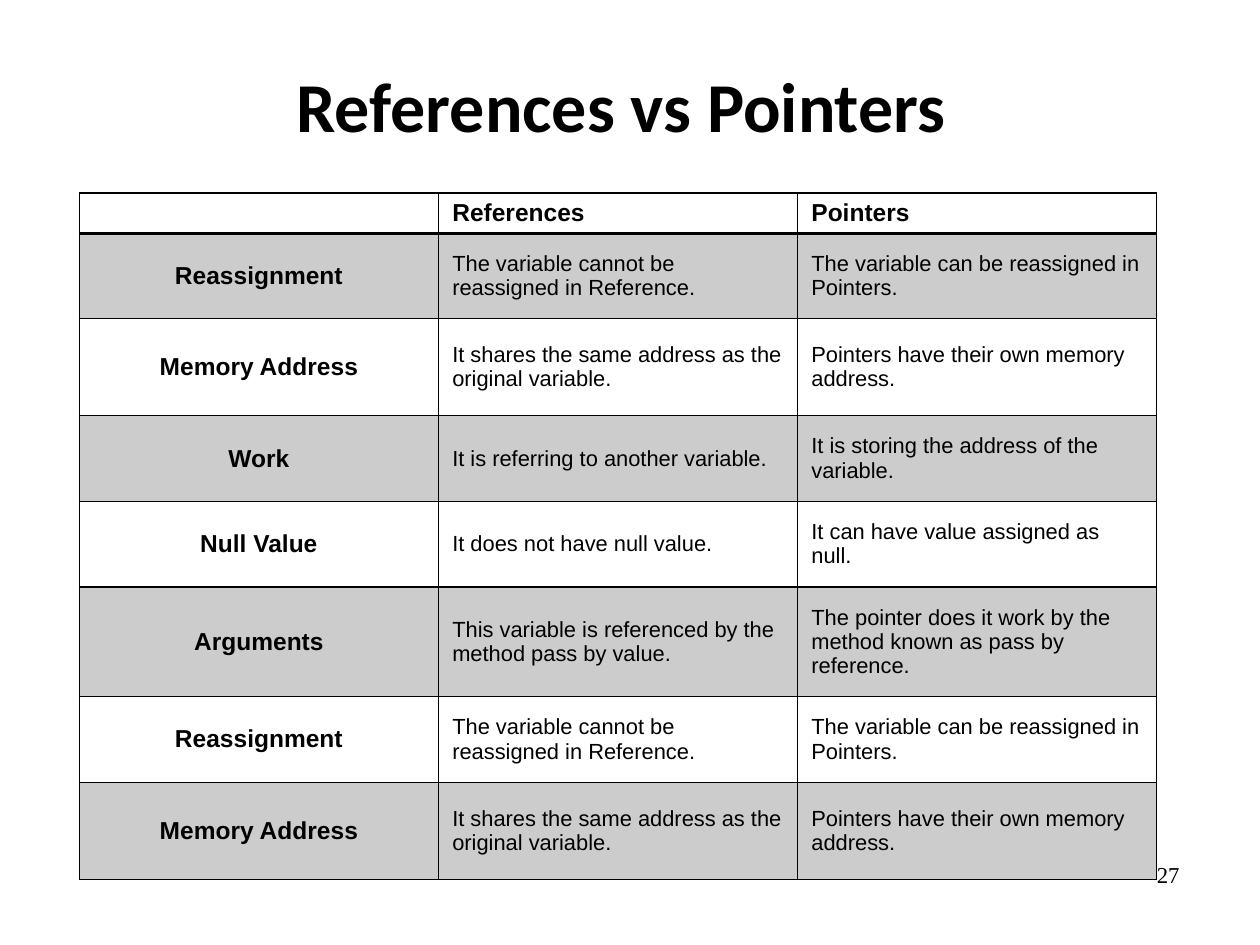
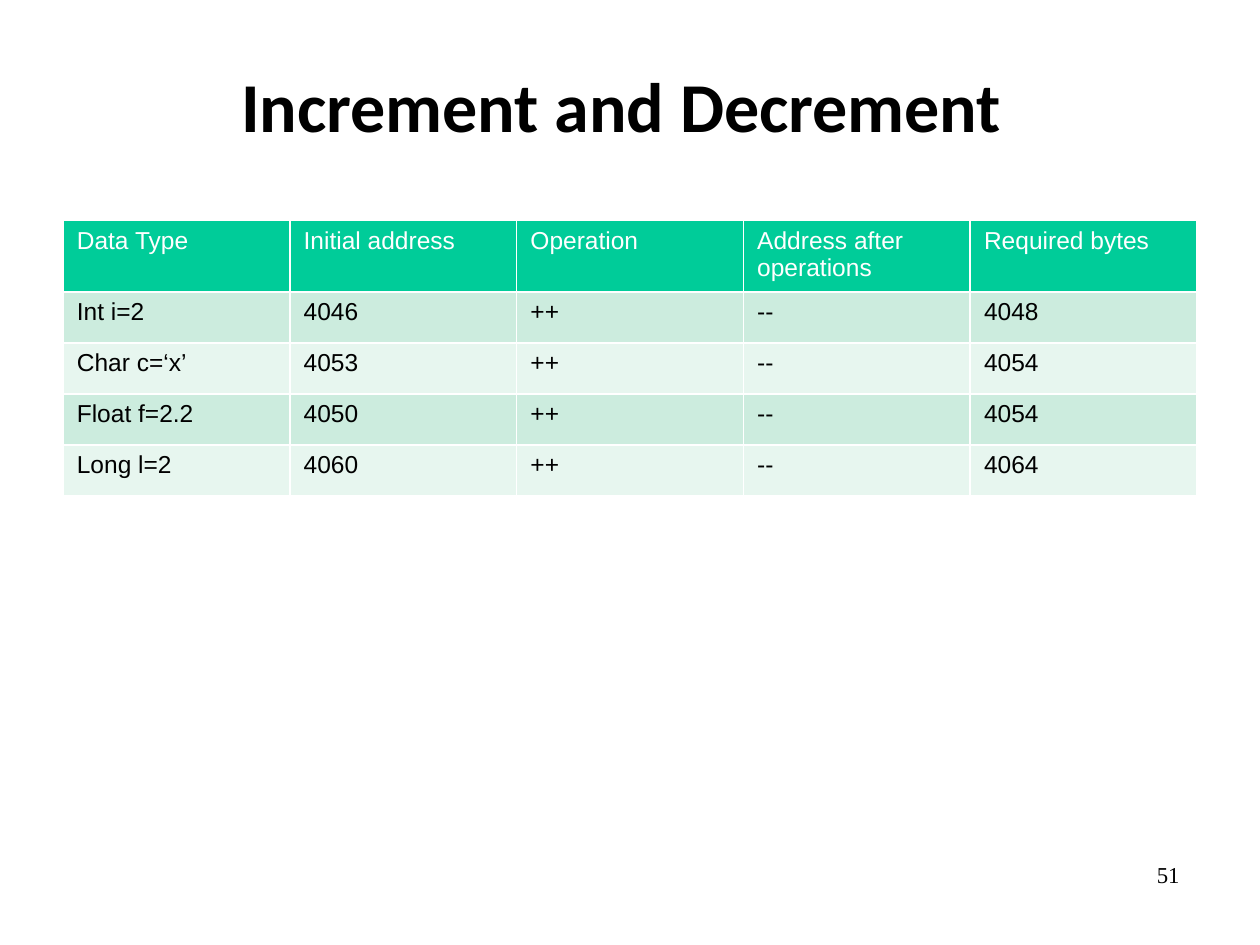
from dataclasses import dataclass

from lxml import etree
from pptx import Presentation
from pptx.dml.color import RGBColor
from pptx.enum.text import MSO_ANCHOR, PP_ALIGN
from pptx.oxml.ns import qn
from pptx.util import Inches, Pt

TOP, MIDDLE = MSO_ANCHOR.TOP, MSO_ANCHOR.MIDDLE
LEFT, CENTER, RIGHT = PP_ALIGN.LEFT, PP_ALIGN.CENTER, PP_ALIGN.RIGHT


@dataclass(frozen=True)
class Theme:
    title_font: str = "Calibri"
    table_font: str = "Arial"
    number_font: str = "Times New Roman"
    title_size: float = 40
    label_size: float = 14
    detail_size: float = 12.5
    number_size: float = 13
    black: str = "000000"
    white: str = "FFFFFF"
    gray_band: str = "CCCCCC"
    green_header: str = "00CC99"
    green_band: str = "CCECDE"
    pale_band: str = "E7F6EF"


theme = Theme()


def format_text(text_frame, font, size, color, bold=False, align=LEFT, spacing=1.0):
    for paragraph in text_frame.paragraphs:
        paragraph.alignment = align
        paragraph.line_spacing = spacing
        for run in paragraph.runs:
            run.font.name = font
            run.font.size = Pt(size)
            run.font.bold = bold
            run.font.color.rgb = RGBColor.from_string(color)


def set_borders(cell, color, top, bottom):
    """Draw all four sides; top and bottom are widths in points."""
    properties = cell._tc.get_or_add_tcPr()
    for side, width in (("L", 1), ("R", 1), ("T", top), ("B", bottom)):
        line = etree.SubElement(properties, qn(f"a:ln{side}"), w=str(Pt(width)))
        fill = etree.SubElement(line, qn("a:solidFill"))
        etree.SubElement(fill, qn("a:srgbClr"), val=color)


comparison = {
    "title": "References vs Pointers",
    "number": "27",
    "left": 0.63, "top": 1.53, "column_width": 2.85,
    "row_heights": [0.32, 0.68, 0.77, 0.68, 0.68, 0.87, 0.68, 0.77],
    "border": theme.black, "header_border": 2,
    "header_fill": None, "header_color": theme.black, "header_bold": True,
    "bands": [theme.gray_band, None],
    "row_labels": True,
    "body_size": theme.detail_size,
    "header_anchor": MIDDLE, "body_anchor": MIDDLE,
    "header_margin": 0, "body_margin": 0.1,
    "rows": [
        ["", "References", "Pointers"],
        ["Reassignment", "The variable cannot be reassigned in Reference.",
         "The variable can be reassigned in Pointers."],
        ["Memory Address", "It shares the same address as the original variable.",
         "Pointers have their own memory address."],
        ["Work", "It is referring to another variable.",
         "It is storing the address of the variable."],
        ["Null Value", "It does not have null value.",
         "It can have value assigned as null."],
        ["Arguments", "This variable is referenced by the method pass by value.",
         "The pointer does it work by the method known as pass by reference."],
        ["Reassignment", "The variable cannot be reassigned in Reference.",
         "The variable can be reassigned in Pointers."],
        ["Memory Address", "It shares the same address as the original variable.",
         "Pointers have their own memory address."],
    ],
}

increments = {
    "title": "Increment and Decrement",
    "number": "51",
    "left": 0.5, "top": 1.75, "column_width": 1.8,
    "row_heights": [0.53] + [1.62 / 4] * 4,
    "border": theme.white, "header_border": 1,
    "header_fill": theme.green_header, "header_color": theme.white, "header_bold": False,
    "bands": [theme.green_band, theme.pale_band],
    "row_labels": False,
    "body_size": theme.label_size,
    "header_anchor": TOP, "body_anchor": TOP,
    "header_margin": 0.05, "body_margin": 0.05,
    "rows": [
        ["Data Type", "Initial address", "Operation", "Address after operations",
         "Required bytes"],
        ["Int i=2", "4046", "++", "--", "4048"],
        ["Char c=‘x’", "4053", "++", "--", "4054"],
        ["Float f=2.2", "4050", "++", "--", "4054"],
        ["Long l=2", "4060", "++", "--", "4064"],
    ],
}

presentation = Presentation()
presentation.slide_width = Inches(10)
presentation.slide_height = Inches(7.5)
title_only_layout = presentation.slide_layouts[5]

for content in (comparison, increments):
    slide = presentation.slides.add_slide(title_only_layout)

    title = slide.shapes.title
    title.left, title.top = Inches(0.5), Inches(0.3)
    title.width, title.height = Inches(8.86), Inches(1.12)
    title.text_frame.text = content["title"]
    title.text_frame.vertical_anchor = MIDDLE
    format_text(title.text_frame, theme.title_font, theme.title_size, theme.black,
                bold=True, align=CENTER, spacing=0.97)

    number_box = slide.shapes.add_textbox(Inches(7.17), Inches(6.88), Inches(2.19), Inches(0.38))
    number_frame = number_box.text_frame
    number_frame.word_wrap = True
    number_frame.margin_left = number_frame.margin_right = 0
    number_frame.margin_top = number_frame.margin_bottom = 0
    number_frame.text = content["number"]
    format_text(number_frame, theme.number_font, theme.number_size, theme.black,
                align=RIGHT, spacing=0.78)

    rows, heights = content["rows"], content["row_heights"]
    column_count = len(rows[0])
    table = slide.shapes.add_table(
        len(rows), column_count, Inches(content["left"]), Inches(content["top"]),
        Inches(content["column_width"] * column_count), Inches(sum(heights))).table
    table.first_row = False
    table.horz_banding = False
    for column in table.columns:
        column.width = Inches(content["column_width"])

    for row_index, texts in enumerate(rows):
        table.rows[row_index].height = Inches(heights[row_index])
        is_header = row_index == 0
        fill_color = content["header_fill"] if is_header else content["bands"][(row_index - 1) % 2]
        for column_index, text in enumerate(texts):
            is_label = content["row_labels"] and column_index == 0 and not is_header
            cell = table.cell(row_index, column_index)
            set_borders(cell, content["border"],
                        top=content["header_border"] if row_index == 1 else 1,
                        bottom=content["header_border"] if is_header else 1)
            if fill_color:
                cell.fill.solid()
                cell.fill.fore_color.rgb = RGBColor.from_string(fill_color)
            else:
                cell.fill.background()
            margin = content["header_margin"] if is_header else content["body_margin"]
            cell.margin_left = cell.margin_right = Inches(0.11)
            cell.margin_top = cell.margin_bottom = Inches(margin)
            cell.vertical_anchor = content["header_anchor" if is_header else "body_anchor"]
            cell.text_frame.text = text
            format_text(
                cell.text_frame, theme.table_font,
                theme.label_size if is_header or is_label else content["body_size"],
                content["header_color"] if is_header else theme.black,
                bold=is_label or (is_header and content["header_bold"]),
                align=CENTER if is_label else LEFT)

presentation.save("out.pptx")
